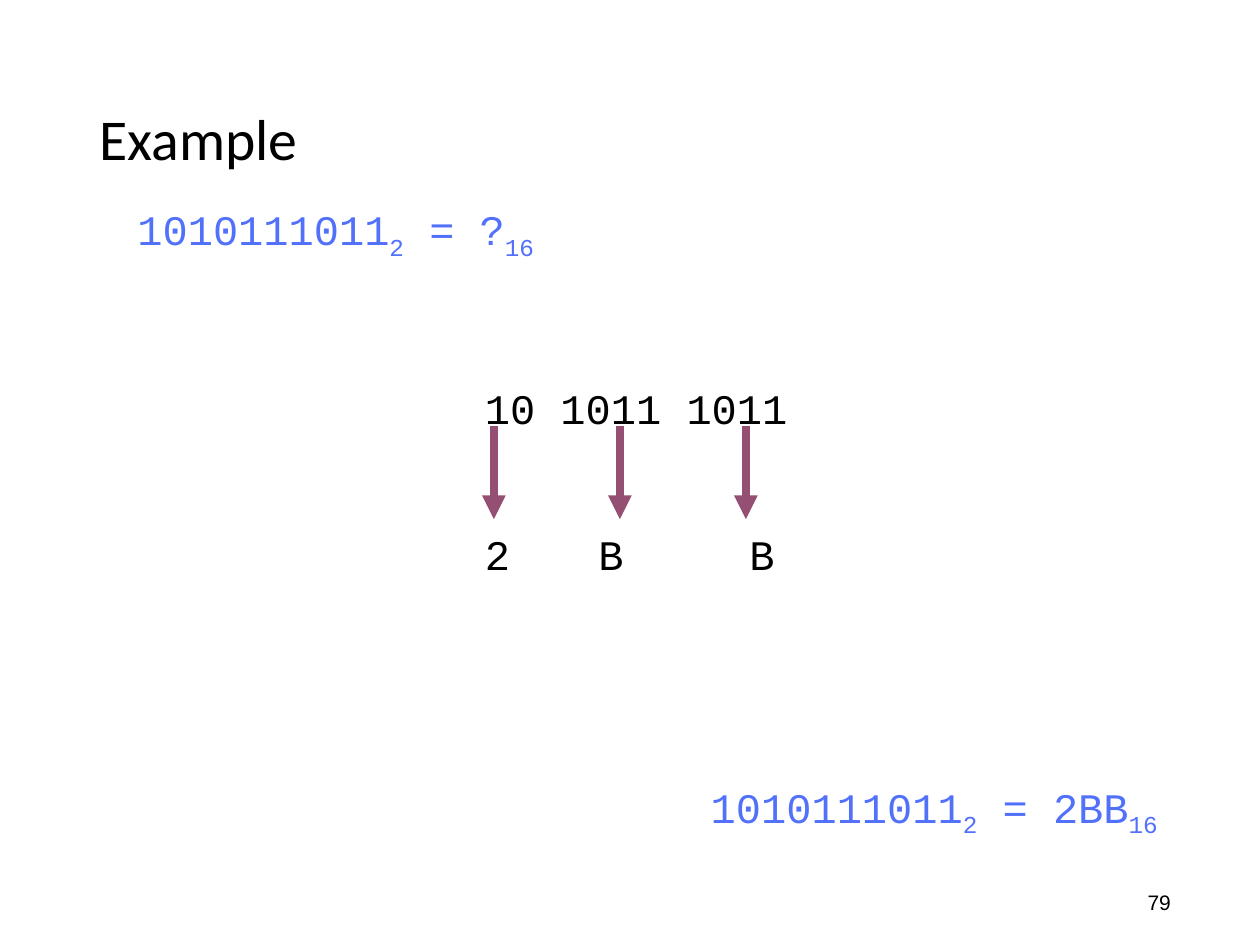
from lxml import etree
from pptx import Presentation
from pptx.dml.color import RGBColor
from pptx.enum import shapes as kinds, text as txt
from pptx.oxml import ns, parse_xml
from pptx.util import Inches, Pt

BLUE, BLACK, PLUM = "5271FB", "000000", "954F72"
MONO = "Courier New"


def colour(value):
    """Turn a hex string into a colour."""
    return RGBColor.from_string(value)


def style(font, face, size, hue):
    """Set the face, size and colour of a font."""
    font.name, font.size = face, Pt(size)
    font.color.rgb = colour(hue)


def add_box(slide, left, top, width, height):
    """Add a wrapping text box and return its text frame."""
    box = slide.shapes.add_textbox(*map(Inches, (left, top, width, height)))
    box.text_frame.word_wrap = True
    return box.text_frame


def add_title(slide, left, top, width, height, wording):
    """Place the title placeholder."""
    title = slide.shapes.title
    title.left, title.top = Inches(left), Inches(top)
    title.width, title.height = Inches(width), Inches(height)
    title.text_frame.text = wording
    title.text_frame.vertical_anchor = txt.MSO_ANCHOR.MIDDLE
    heading = title.text_frame.paragraphs[0]
    heading.alignment = txt.PP_ALIGN.LEFT
    heading.line_spacing = 0.9
    style(heading.runs[0].font, "Calibri", 33, BLACK)


def add_equation(slide, left, top, width, height, answer):
    """Write the binary number and its hexadecimal answer with their bases."""
    equation = add_box(slide, left, top, width, height).paragraphs[0]
    equation.alignment = txt.PP_ALIGN.CENTER
    for number, base in (("1010111011", "2"), (f" = {answer}", "16")):
        for wording, offset in ((number, 0), (base, -25000)):
            run = equation.add_run()
            run.text = wording
            style(run.font, MONO, 24, BLUE)
            if offset:
                run._r.get_or_add_rPr().set("baseline", str(offset))


def add_arrow(slide, x, top, bottom):
    """Draw a thick downward arrow."""
    arrow = slide.shapes.add_connector(
        kinds.MSO_CONNECTOR.STRAIGHT, Inches(x), Inches(top), Inches(x), Inches(bottom))
    arrow.line.color.rgb = colour(PLUM)
    arrow.line.width = Pt(4.5)
    etree.SubElement(arrow.line._get_or_add_ln(), ns.qn("a:tailEnd"), type="triangle")
    etree.SubElement(arrow._element.spPr, ns.qn("a:effectLst"))


def add_conversion(slide, left, top, width, height):
    """Show the bit groups above their hexadecimal digits, joined by arrows."""
    frame = add_box(slide, left, top, width, height)
    frame.text = "10 1011 1011\n2\tB\tB"
    groups, digits = frame.paragraphs
    digits.space_before = Pt(54.5)
    tabs = etree.SubElement(digits._p.get_or_add_pPr(), ns.qn("a:tabLst"))
    for stop in (0.9, 2.1):
        etree.SubElement(tabs, ns.qn("a:tab"), pos=str(Inches(stop)), algn="l")
    for line in (groups, digits):
        for run in line.runs:
            style(run.font, MONO, 24, BLACK)
    for column in range(3):
        add_arrow(slide, left + 0.17 + column, top + 0.39, top + 1.13)


def add_page_number(slide, left, top, width, height, number):
    """Add a slide number field."""
    frame = add_box(slide, left, top, width, height)
    frame.word_wrap = False
    page = frame.paragraphs[0]
    style(page.font, "Arial", 12, BLACK)
    field = parse_xml(
        f'<a:fld {ns.nsdecls("a")} id="{{B6F15528-21DE-4FAA-801E-634DDDAF4B2B}}" '
        f'type="slidenum"><a:rPr lang="en-US" sz="1200"><a:solidFill>'
        f'<a:srgbClr val="{BLACK}"/></a:solidFill><a:latin typeface="Arial"/></a:rPr>'
        f'<a:t>{number}</a:t></a:fld>')
    page._p.append(field)


def main():
    """Build and save the slide."""
    deck = Presentation()
    deck.slide_width, deck.slide_height = Inches(10), Inches(7.5)
    deck.element.set("firstSlideNum", "79")
    slide = deck.slides.add_slide(deck.slide_layouts[5])
    add_page_number(slide, 9.01, 7.01, 0.4, 0.3, 79)
    add_title(slide, 0.69, 0.4, 8.62, 1.45, "Example")
    add_equation(slide, 0.33, 1.57, 4.67, 0.5, "?")
    add_conversion(slide, 3.75, 2.99, 4.67, 1.7)
    add_equation(slide, 5.08, 6.15, 4.67, 0.5, "2BB")
    deck.save("out.pptx")


if __name__ == "__main__":
    main()
